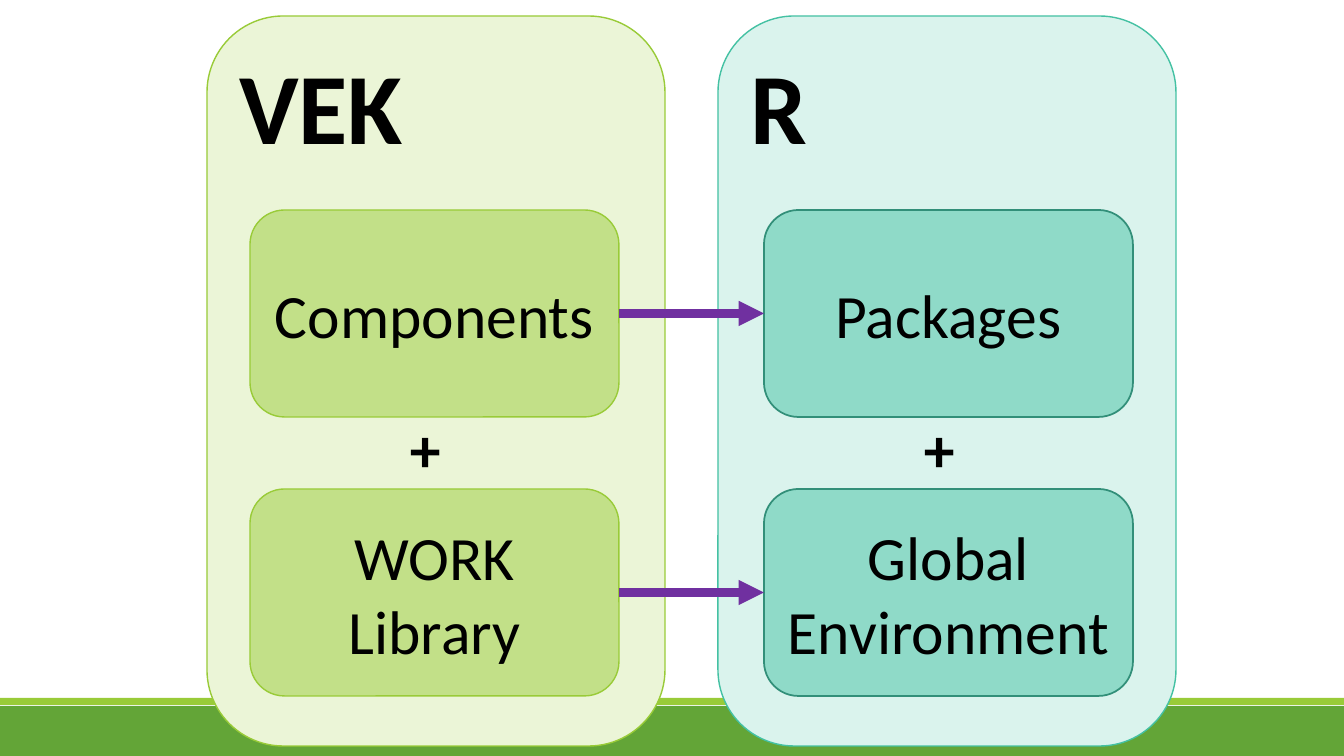
from lxml import etree
from pptx import Presentation
from pptx.dml.color import RGBColor
from pptx.enum.shapes import MSO_CONNECTOR, MSO_SHAPE
from pptx.enum.text import MSO_ANCHOR, PP_ALIGN
from pptx.oxml.ns import qn
from pptx.util import Emu, Pt

RECTANGLE = MSO_SHAPE.RECTANGLE
ROUNDED = MSO_SHAPE.ROUNDED_RECTANGLE
STRAIGHT = MSO_CONNECTOR.STRAIGHT
TOP, MIDDLE = MSO_ANCHOR.TOP, MSO_ANCHOR.MIDDLE
LEFT, CENTER = PP_ALIGN.LEFT, PP_ALIGN.CENTER
LEFT_SIDE, RIGHT_SIDE = 1, 3

EMU_PER_PX = 914400 / 100.8
FONT = "Calibri"
COLORS = {
    "text": "000000",
    "arrow": "7030A0",
    "floor": "63A537",
    "floor_edge": "99CB38",
    "vek_panel": "EBF5D7",
    "vek_box": "C2E088",
    "vek_line": "99CB38",
    "r_panel": "DAF3ED",
    "r_panel_line": "44C1A3",
    "r_box": "8FDAC8",
    "r_box_line": "328F79",
}

PANEL_TOP, PANEL_WIDTH, PANEL_HEIGHT = 16, 458, 730
BOX_TOPS, BOX_WIDTH, BOX_HEIGHT = (210, 489), 369, 207
PLUS_OFFSET, PLUS_TOP, PLUS_WIDTH, PLUS_HEIGHT = 150, 406, 70, 133


def px(length):
    return Emu(round(length * EMU_PER_PX))


def color(name):
    return RGBColor.from_string(COLORS[name])


def write(shape, text, size, bold=False, align=LEFT, anchor=TOP):
    frame = shape.text_frame
    frame.word_wrap = True
    frame.vertical_anchor = anchor
    paragraph = frame.paragraphs[0]
    paragraph.alignment = align
    run = paragraph.add_run()
    run.text = text
    run.font.name = FONT
    run.font.size = Pt(size)
    run.font.bold = bold
    run.font.color.rgb = color("text")


def add_block(slide, kind, bounds, fill, line=None, line_width=1):
    block = slide.shapes.add_shape(kind, *map(px, bounds))
    block.shadow.inherit = False
    block.fill.solid()
    block.fill.fore_color.rgb = color(fill)
    if line:
        block.line.color.rgb = color(line)
        block.line.width = Pt(line_width)
    else:
        block.line.fill.background()
    return block


def add_panel(slide, left, title, fill, line):
    bounds = (left, PANEL_TOP, PANEL_WIDTH, PANEL_HEIGHT)
    panel = add_block(slide, ROUNDED, bounds, fill, line)
    write(panel, title, 72, bold=True)


def add_boxes(slide, left, labels, fill, line, line_width):
    """Stack one labelled box per row and return the boxes."""
    boxes = []
    for top, label in zip(BOX_TOPS, labels):
        bounds = (left, top, BOX_WIDTH, BOX_HEIGHT)
        box = add_block(slide, ROUNDED, bounds, fill, line, line_width)
        write(box, label, 44, align=CENTER, anchor=MIDDLE)
        boxes.append(box)
    return boxes


def add_arrow(slide, source, target):
    arrow = slide.shapes.add_connector(STRAIGHT, 0, 0, 0, 0)
    arrow.begin_connect(source, RIGHT_SIDE)
    arrow.end_connect(target, LEFT_SIDE)
    arrow.line.color.rgb = color("arrow")
    arrow.line.width = Pt(6)
    properties = arrow._element.spPr
    outline = properties.find(qn("a:ln"))
    etree.SubElement(outline, qn("a:tailEnd"), type="triangle")
    etree.SubElement(properties, qn("a:effectLst"))


def add_plus(slide, box_left):
    bounds = (box_left + PLUS_OFFSET, PLUS_TOP, PLUS_WIDTH, PLUS_HEIGHT)
    plus = slide.shapes.add_textbox(*map(px, bounds))
    write(plus, "+", 44, bold=True)


def main():
    presentation = Presentation()
    presentation.slide_width = px(1344)
    presentation.slide_height = px(756)
    slide = presentation.slides.add_slide(presentation.slide_layouts[6])

    add_block(slide, RECTANGLE, (0, 706, 1344, 50), "floor")
    add_block(slide, RECTANGLE, (0, 698, 1344, 7), "floor_edge")

    add_panel(slide, 207, "VEK", "vek_panel", "vek_line")
    add_panel(slide, 718, "R", "r_panel", "r_panel_line")

    vek_left, r_left = 250, 764
    vek_boxes = add_boxes(slide, vek_left, ("Components", "WORK Library"),
                          "vek_box", "vek_line", 1)
    r_boxes = add_boxes(slide, r_left, ("Packages", "Global Environment"),
                        "r_box", "r_box_line", 1.25)

    for vek_box, r_box in zip(vek_boxes, r_boxes):
        add_arrow(slide, vek_box, r_box)
    for box_left in (vek_left, r_left):
        add_plus(slide, box_left)

    presentation.save("out.pptx")


if __name__ == "__main__":
    main()
